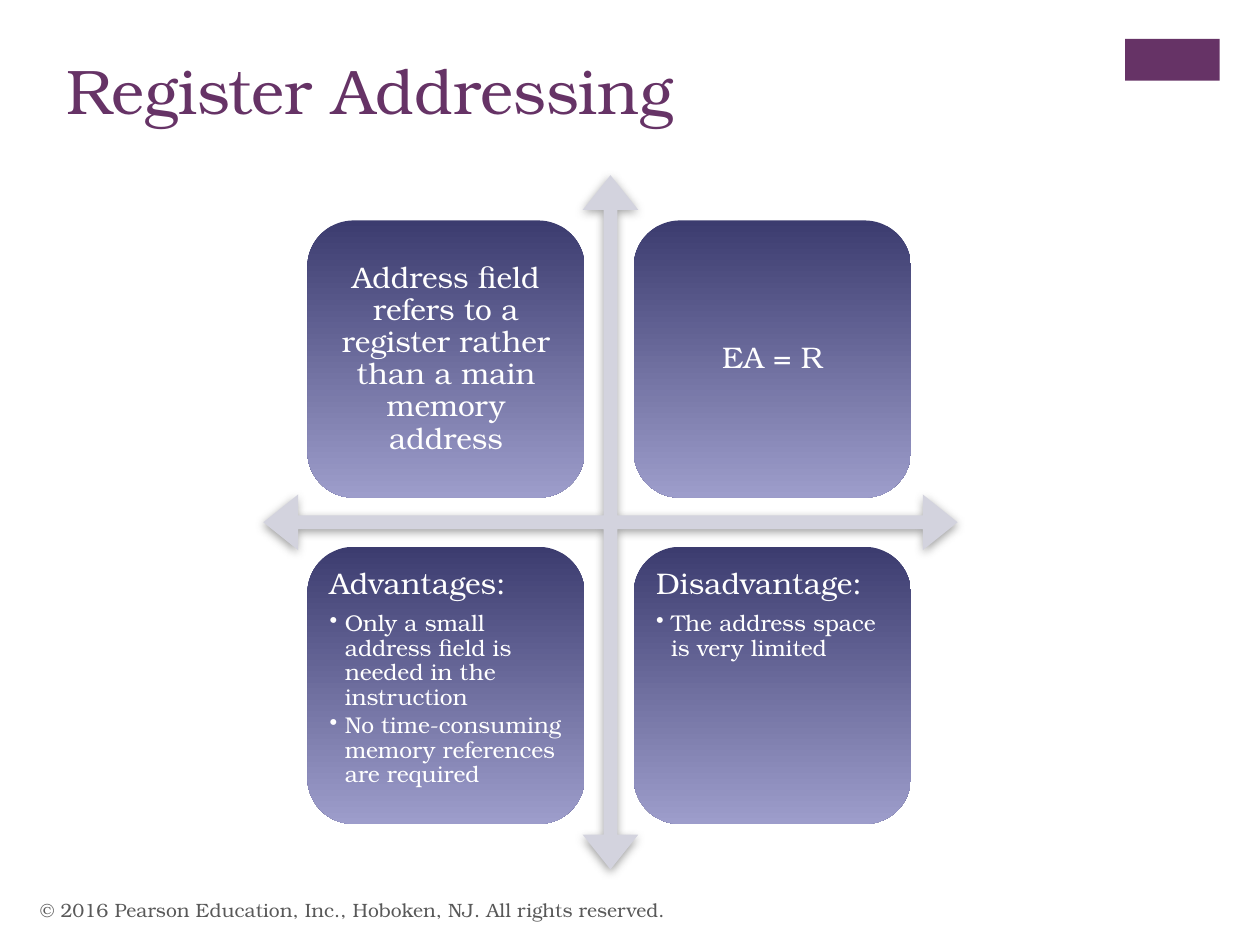
from lxml import etree
from pptx import Presentation
from pptx import util as u
from pptx.dml.color import RGBColor
from pptx.enum import shapes, text
from pptx.oxml import ns

PLUM = RGBColor(0x66, 0x33, 0x66)
NAVY = RGBColor(0x3C, 0x3C, 0x6F)
LAVENDER = RGBColor(0x9D, 0x9D, 0xCB)
MIST = RGBColor(0xD3, 0xD3, 0xDE)
GRAY = RGBColor(0x59, 0x59, 0x59)
WHITE = RGBColor(0xFF, 0xFF, 0xFF)

QUADRANTS = [
    ("Address field refers to a register rather than a main memory address", []),
    ("EA = R", []),
    ("Advantages:", ["Only a small address field is needed in the instruction",
                     "No time-consuming memory references are required"]),
    ("Disadvantage:", ["The address space is very limited"]),
]
QUADRANT_LEFT, QUADRANT_TOP, QUADRANT_SIZE, QUADRANT_STEP = 24.4, 17.5, 22, 25.9


class SlideStyle:
    """Draws styled elements on a slide laid out as 100 columns by 75 rows."""

    font = "TeX Gyre Bonum"
    cell = u.Inches(0.1)

    def __init__(self, deck):
        self.slide = deck.slides.add_slide(deck.slide_layouts[5])

    def grid(self, *lengths):
        return [round(length * self.cell) for length in lengths]

    def set_words(self, paragraph, words, size, color):
        paragraph.text = words
        for run in paragraph.runs:
            run.font.name = self.font
            run.font.size = u.Pt(size)
            run.font.color.rgb = color

    def title(self, words, *box):
        heading = self.slide.shapes.title
        heading.left, heading.top, heading.width, heading.height = self.grid(*box)
        frame = heading.text_frame
        frame.auto_size = text.MSO_AUTO_SIZE.NONE
        frame.vertical_anchor = text.MSO_ANCHOR.TOP
        self.set_words(frame.paragraphs[0], words, 36, PLUM)
        frame.paragraphs[0].alignment = text.PP_ALIGN.LEFT

    def footer(self, words, *box):
        frame = self.slide.shapes.add_textbox(*self.grid(*box)).text_frame
        frame.word_wrap = True
        frame.vertical_anchor = text.MSO_ANCHOR.MIDDLE
        self.set_words(frame.paragraphs[0], words, 11, GRAY)

    def shape(self, kind, *box, fill=None):
        drawn = self.slide.shapes.add_shape(kind, *self.grid(*box))
        drawn.shadow.inherit = False
        drawn.line.fill.background()
        if fill is not None:
            drawn.fill.solid()
            drawn.fill.fore_color.rgb = fill
        return drawn

    def cross_arrow(self, *box):
        cross = self.shape(shapes.MSO_SHAPE.QUAD_ARROW, *box, fill=MIST)
        for index, share in enumerate((0.02, 0.04, 0.05)):
            cross.adjustments[index] = share
        effects = cross.element.spPr.find(ns.qn("a:effectLst"))
        shadow = etree.SubElement(effects, ns.qn("a:outerShdw"), blurRad=str(u.Pt(5)),
                                  dist=str(u.Pt(2)), dir="5400000", rotWithShape="0")
        tint = etree.SubElement(shadow, ns.qn("a:srgbClr"), val="808080")
        etree.SubElement(tint, ns.qn("a:alpha"), val="75000")

    def quadrant(self, heading, points, *box):
        card = self.shape(shapes.MSO_SHAPE.ROUNDED_RECTANGLE, *box)
        card.fill.gradient()
        card.fill.gradient_angle = 270
        for stop, color in zip(card.fill.gradient_stops, (NAVY, LAVENDER)):
            stop.color.rgb = color
        frame = card.text_frame
        frame.word_wrap = True
        frame.margin_left = frame.margin_right = u.Inches(0.07)
        frame.margin_top = frame.margin_bottom = u.Inches(0.07)
        frame.vertical_anchor = text.MSO_ANCHOR.TOP if points else text.MSO_ANCHOR.MIDDLE
        lead = frame.paragraphs[0]
        self.set_words(lead, heading, 17, WHITE)
        lead.alignment = text.PP_ALIGN.LEFT if points else text.PP_ALIGN.CENTER
        lead.line_spacing, lead.space_after = 0.9, u.Pt(6)
        for point in points:
            self.bullet(frame.add_paragraph(), point)

    def bullet(self, paragraph, words):
        properties = paragraph._p.get_or_add_pPr()
        properties.set("marL", str(u.Inches(0.12)))
        properties.set("indent", str(u.Inches(-0.12)))
        etree.SubElement(properties, ns.qn("a:buChar"), char="•")
        self.set_words(paragraph, words, 13, WHITE)
        paragraph.level = 1
        paragraph.alignment = text.PP_ALIGN.LEFT
        paragraph.line_spacing, paragraph.space_after = 0.9, u.Pt(2)


def main():
    deck = Presentation()
    deck.slide_width, deck.slide_height = u.Inches(10), u.Inches(7.5)
    page = SlideStyle(deck)
    page.shape(shapes.MSO_SHAPE.RECTANGLE, 89.3, 3.1, 7.5, 3.3, fill=PLUM)
    page.footer("© 2016 Pearson Education, Inc., Hoboken, NJ. All rights reserved.",
                2.2, 70.2, 67, 4)
    page.title("Register Addressing", 4.3, 3.6, 82.6, 12.2)
    page.cross_arrow(20.9, 13.9, 55.1, 55.1)
    for index, (heading, points) in enumerate(QUADRANTS):
        row, column = divmod(index, 2)
        page.quadrant(heading, points,
                      QUADRANT_LEFT + column * QUADRANT_STEP,
                      QUADRANT_TOP + row * QUADRANT_STEP,
                      QUADRANT_SIZE, QUADRANT_SIZE)
    deck.save("out.pptx")


if __name__ == "__main__":
    main()
